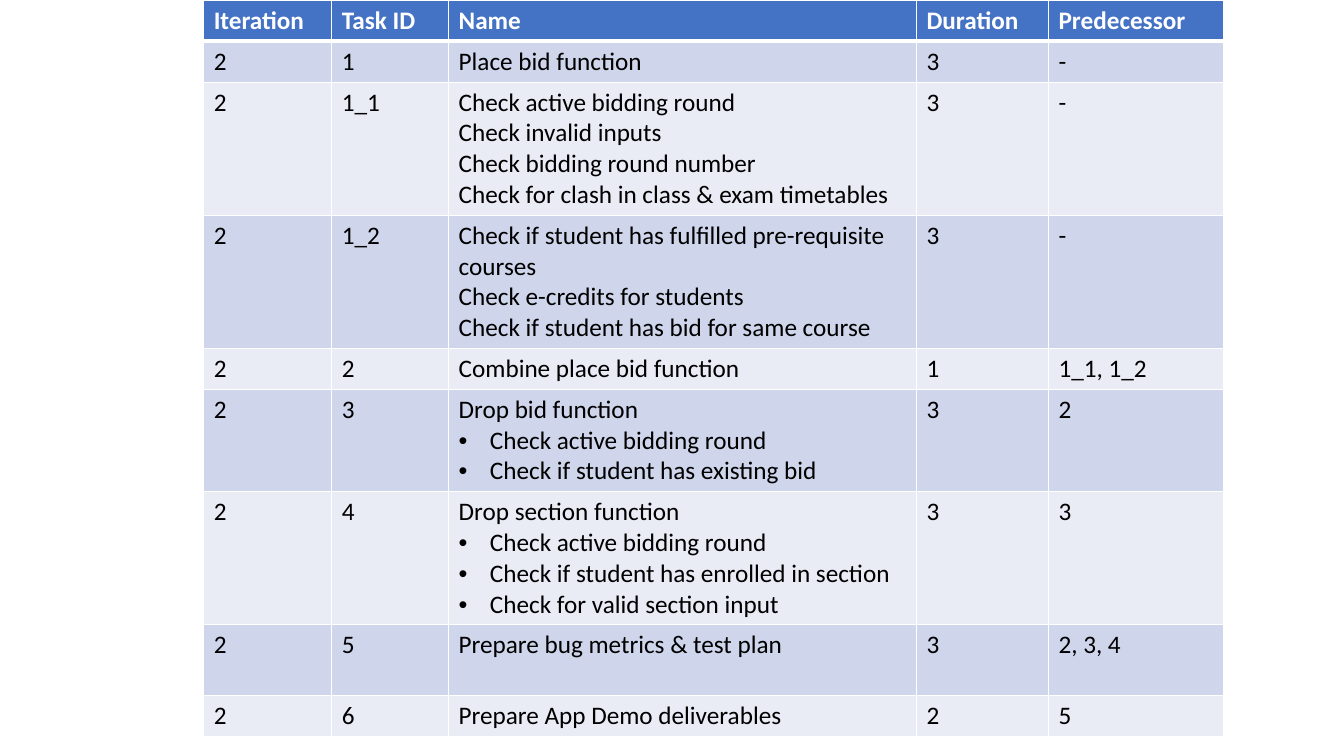
from lxml.etree import SubElement
from pptx import Presentation
from pptx.dml.color import RGBColor
from pptx.oxml.ns import qn
from pptx.util import Inches, Pt

COLORS = {
    "header": "4472C4",
    "odd": "CFD5EA",
    "even": "E9EBF5",
    "border": "FFFFFF",
    "header_text": "FFFFFF",
    "text": "000000",
}
BULLET = "• "
HEADINGS = ["Iteration", "Task ID", "Name", "Duration", "Predecessor"]
TASKS = [
    ("1", ["Place bid function"], "3", "-"),
    ("1_1", ["Check active bidding round", "Check invalid inputs",
             "Check bidding round number",
             "Check for clash in class & exam timetables"], "3", "-"),
    ("1_2", ["Check if student has fulfilled pre-requisite courses",
             "Check e-credits for students",
             "Check if student has bid for same course"], "3", "-"),
    ("2", ["Combine place bid function"], "1", "1_1, 1_2"),
    ("3", ["Drop bid function", "• Check active bidding round",
           "• Check if student has existing bid"], "3", "2"),
    ("4", ["Drop section function", "• Check active bidding round",
           "• Check if student has enrolled in section",
           "• Check for valid section input"], "3", "3"),
    ("5", ["Prepare bug metrics & test plan"], "3", "2, 3, 4"),
    ("6", ["Prepare App Demo deliverables"], "2", "5"),
]
COLUMN_WIDTHS = [1.27, 1.16, 4.64, 1.31, 1.74]
ROW_HEIGHTS = [0.41, 0.4, 1.3, 1.3, 0.4, 1, 1.3, 0.7, 0.41]


def add_borders(cell, top, bottom):
    properties = cell._tc.get_or_add_tcPr()
    for side, points in (("L", 1), ("R", 1), ("T", top), ("B", bottom)):
        line = SubElement(properties, qn(f"a:ln{side}"), w=str(Pt(points)))
        fill = SubElement(line, qn("a:solidFill"))
        SubElement(fill, qn("a:srgbClr"), val=COLORS["border"])


def add_line(paragraph, text, color, bold):
    if text.startswith(BULLET):
        text = text.removeprefix(BULLET)
        indent = Inches(0.31)
        properties = paragraph._p.get_or_add_pPr()
        properties.set("marL", str(indent))
        properties.set("indent", str(-indent))
        SubElement(properties, qn("a:buFont"), typeface="Arial")
        SubElement(properties, qn("a:buChar"), char="•")
    run = paragraph.add_run()
    run.text = text
    run.font.name = "Calibri"
    run.font.size = Pt(18)
    run.font.bold = bold
    run.font.color.rgb = RGBColor.from_string(COLORS[color])


presentation = Presentation()
presentation.slide_width = Inches(13.33)
presentation.slide_height = Inches(7.5)
slide = presentation.slides.add_slide(presentation.slide_layouts[6])

rows = [[[heading] for heading in HEADINGS]]
for task_id, name, duration, predecessor in TASKS:
    rows.append([["2"], [task_id], name, [duration], [predecessor]])

schedule = slide.shapes.add_table(
    len(rows), len(HEADINGS), Inches(2.02), Inches(0),
    Inches(sum(COLUMN_WIDTHS)), Inches(sum(ROW_HEIGHTS))).table
for column, width in zip(schedule.columns, COLUMN_WIDTHS):
    column.width = Inches(width)
for row, height in zip(schedule.rows, ROW_HEIGHTS):
    row.height = Inches(height)

for row_index, row in enumerate(rows):
    is_header = row_index == 0
    background = "header" if is_header else "odd" if row_index % 2 else "even"
    text_color = "header_text" if is_header else "text"
    for column_index, lines in enumerate(row):
        cell = schedule.cell(row_index, column_index)
        add_borders(cell, 3 if row_index == 1 else 1, 3 if is_header else 1)
        cell.fill.solid()
        cell.fill.fore_color.rgb = RGBColor.from_string(COLORS[background])
        for line_index, text in enumerate(lines):
            frame = cell.text_frame
            paragraph = frame.add_paragraph() if line_index else frame.paragraphs[0]
            add_line(paragraph, text, text_color, is_header)

presentation.save("out.pptx")
